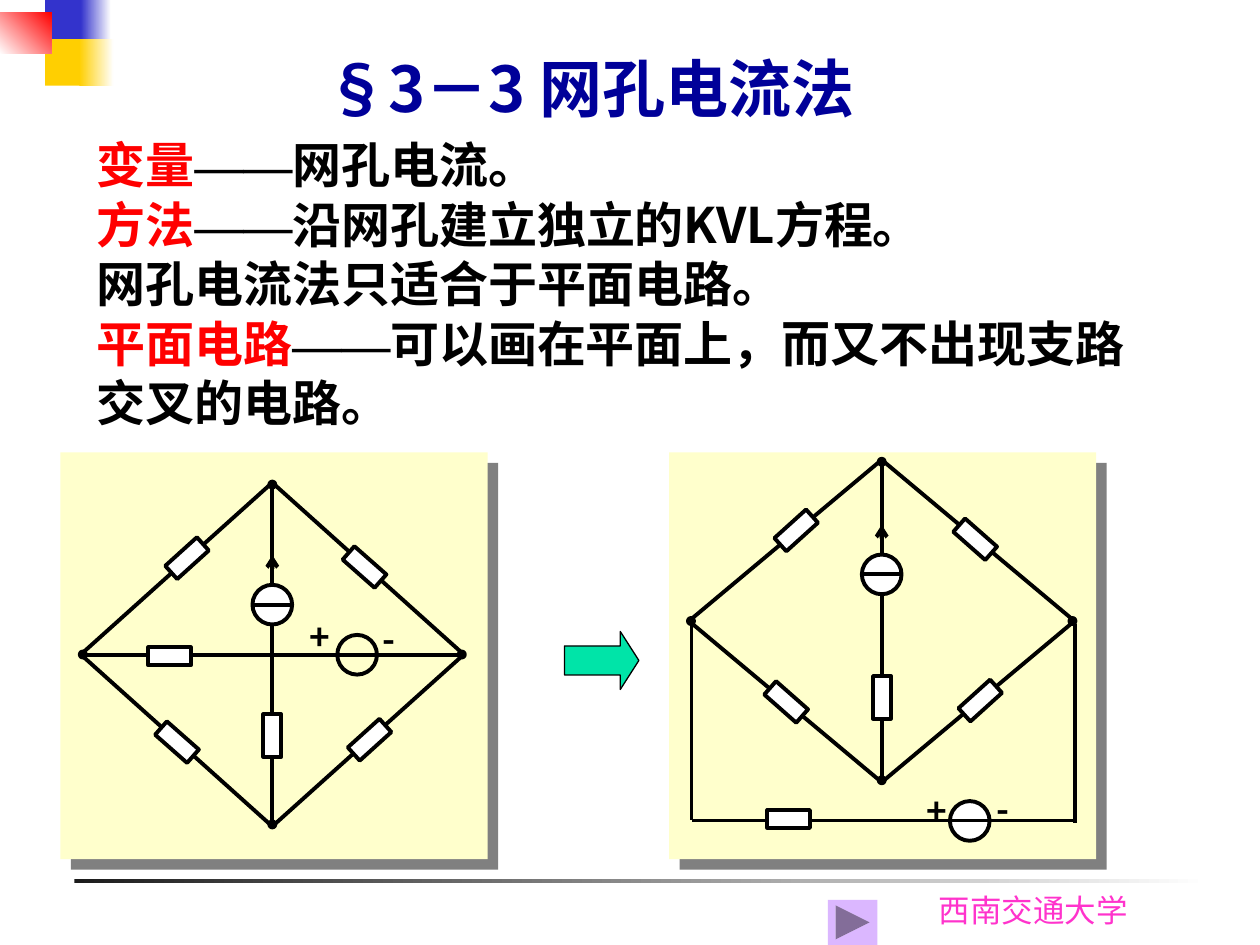
from lxml import etree
from pptx import Presentation
from pptx import util as u
from pptx.dml.color import RGBColor
from pptx.enum import shapes, text
from pptx.oxml import ns

Cm, Pt = u.Cm, u.Pt
PRESET = shapes.MSO_SHAPE
COLORS = {
    "white": "FFFFFF", "black": "000000", "blue": "3333CC", "yellow": "FFCF01",
    "red": "FF0000", "navy": "000099", "pink": "FF33CC", "charcoal": "1C1C1C",
    "cream": "FFFFCC", "gray": "808080", "green": "00E4A8", "lilac": "DBB7FF",
}
COLORS = {name: RGBColor.from_string(value) for name, value in COLORS.items()}
HEITI, TIMES = "Noto Sans CJK SC", "Times New Roman"

prs = Presentation()
prs.slide_width, prs.slide_height = Cm(25.4), Cm(19.05)
slide = prs.slides.add_slide(prs.slide_layouts[5])


def add_part(preset, box, fill=None, line=0, angle=0):
    """Add a preset shape; a pair of fill colours makes a gradient."""
    part = slide.shapes.add_shape(preset, *map(Cm, box))
    part.shadow.inherit = False
    part.rotation = angle
    if fill is None:
        part.fill.background()
    elif isinstance(fill, tuple):
        part.fill.gradient()
        part.fill.gradient_angle = 0
        for stop, color in zip(part.fill.gradient_stops, fill):
            stop.color.rgb = COLORS[color]
    else:
        part.fill.solid()
        part.fill.fore_color.rgb = COLORS[fill]
    if line:
        part.line.color.rgb = COLORS["black"]
        part.line.width = Pt(line)
    else:
        part.line.fill.background()
    return part


def write(frame, paragraphs, size, spacing=None, bold=True):
    """Fill a text frame with paragraphs of (text, colour, font) runs."""
    frame.word_wrap = True
    frame.auto_size = text.MSO_AUTO_SIZE.NONE
    for index, pieces in enumerate(paragraphs):
        paragraph = frame.add_paragraph() if index else frame.paragraphs[0]
        paragraph.alignment = text.PP_ALIGN.LEFT
        paragraph.line_spacing = spacing
        for words, color, font in pieces:
            run = paragraph.add_run()
            run.text = words
            run.font.name = font
            run.font.size, run.font.bold = Pt(size), bold
            run.font.color.rgb = COLORS[color]
            east_asian = etree.SubElement(run.font._element, ns.qn("a:ea"))
            east_asian.set("typeface", TIMES if font == TIMES else HEITI)


# Slide decoration
add_part(PRESET.RECTANGLE, (1.5, 17.73, 22.86, 0.08), ("charcoal", "white"))
for box, fill in [
    ((0.91, 0, 0.81, 0.94), "blue"),
    ((1.63, 0, 0.61, 0.94), ("blue", "white")),
    ((0.91, 0.79, 0.79, 0.94), "yellow"),
    ((1.6, 0.79, 0.69, 0.94), ("yellow", "white")),
]:
    add_part(PRESET.RECTANGLE, box, fill)
red_square = add_part(PRESET.RECTANGLE, (0, 0.25, 1.04, 0.84), ("white", "red"))
red_square.fill.gradient_angle = 45

university = slide.shapes.add_textbox(Cm(18.67), Cm(17.83), Cm(4.6), Cm(1.02))
write(university.text_frame, [[("西南交通大学", "pink", "Lato")]], 18, bold=False)

# Title and definitions
title = slide.shapes.title
title.left, title.top, title.width, title.height = map(Cm, (6.3, 0.71, 12.27, 1.47))
title.fill.solid()
title.fill.fore_color.rgb = COLORS["white"]
title.text_frame.vertical_anchor = text.MSO_ANCHOR.TOP
write(title.text_frame, [[("§3－3 网孔电流法", "navy", HEITI)]], 36, Pt(48))

definitions = [
    ("变量", "网孔电流。"),
    ("方法", "沿网孔建立独立的KVL方程。"),
    ("", "网孔电流法只适合于平面电路。"),
    ("平面电路", "可以画在平面上，而又不出现支路交叉的电路。"),
]
paragraphs = []
for term, meaning in definitions:
    lead = [(term, "red", HEITI), ("——", "black", TIMES)] if term else []
    paragraphs.append(lead + [(meaning, "black", HEITI)])
body = slide.shapes.add_textbox(Cm(1.7), Cm(2.6), Cm(21.79), Cm(6.2))
body.text_frame.vertical_anchor = text.MSO_ANCHOR.MIDDLE
write(body.text_frame, paragraphs, 28, Pt(34))

# Crossed circuit and the same circuit redrawn in the plane
RESISTOR_ANGLES = (227.9, 311.4, 311.4, 227.9, 270, 0)
circuits = [
    {
        "panel_left": 1.22, "bridge": (1.63, 9.73, 7.72, 6.93),
        "current_y": 12.19, "voltage": (7.2, 13.2), "voltage_fill": None,
        "plus": (6.25, 12.37), "minus": (7.72, 12.42),
        "outer_wires": [(1.63, 13.2, 9.37, 13.2)],
        "resistors": [(3.77, 11.25), (7.35, 11.43), (3.57, 14.96),
                      (7.45, 14.91), (3.42, 13.23), (5.49, 14.83)],
    },
    {
        "panel_left": 13.49, "bridge": (13.89, 9.27, 7.77, 6.5),
        "current_y": 11.58, "voltage": (19.55, 16.55), "voltage_fill": "white",
        "plus": (18.67, 15.88), "minus": (20.09, 15.85),
        "outer_wires": [(13.94, 16.54, 21.72, 16.54), (13.94, 12.52, 13.94, 16.54),
                        (21.67, 12.57, 21.67, 16.59)],
        "resistors": [(16.05, 10.69), (19.66, 10.87), (15.85, 14.15),
                      (19.76, 14.12), (15.9, 16.51), (17.78, 14.06)],
    },
]
for circuit in circuits:
    panel = add_part(PRESET.RECTANGLE, (circuit["panel_left"], 9.12, 8.61, 8.2), "cream")
    effects = panel._element.spPr.find(ns.qn("a:effectLst"))
    shadow = etree.SubElement(effects, ns.qn("a:outerShdw"), dist=str(Pt(8.5)),
                              dir="2700000", algn="ctr", rotWithShape="0")
    etree.SubElement(shadow, ns.qn("a:srgbClr"), val=str(COLORS["gray"]))

    left, top, width, height = circuit["bridge"]
    middle_x, middle_y = left + width / 2, top + height / 2
    right, bottom = left + width, top + height
    add_part(PRESET.DIAMOND, circuit["bridge"], line=2.25)

    x, y = circuit["voltage"]
    add_part(PRESET.OVAL, (x - 0.4, y - 0.4, 0.8, 0.8), circuit["voltage_fill"], 2.25)
    y = circuit["current_y"]
    add_part(PRESET.OVAL, (middle_x - 0.4, y - 0.4, 0.8, 0.8), "white", 2.25)

    wires = circuit["outer_wires"] + [
        (middle_x, top, middle_x, y - 0.4),
        (middle_x, y + 0.4, middle_x, bottom),
        (middle_x - 0.4, y, middle_x + 0.4, y),
        (middle_x, y - 0.4, middle_x, y - 1),
    ]
    for ends in wires:
        wire = slide.shapes.add_connector(shapes.MSO_CONNECTOR.STRAIGHT, *map(Cm, ends))
        wire.line.color.rgb = COLORS["black"]
        wire.line.width = Pt(2.25)
        etree.SubElement(wire._element.spPr, ns.qn("a:effectLst"))
    current_arrow = wire
    etree.SubElement(current_arrow.line._get_or_add_ln(), ns.qn("a:tailEnd"), type="arrow")

    for (x, y), angle in zip(circuit["resistors"], RESISTOR_ANGLES):
        add_part(PRESET.RECTANGLE, (x - 0.18, y - 0.43, 0.36, 0.86), "white", 2.25, angle)
    for x, y in [(left + 0.04, middle_y), (middle_x, top + 0.04),
                 (middle_x, bottom - 0.04), (right - 0.04, middle_y)]:
        add_part(PRESET.OVAL, (x - 0.06, y - 0.06, 0.12, 0.12), "black", 2.25)

    for sign, place in [("+", circuit["plus"]), ("-", circuit["minus"])]:
        polarity = slide.shapes.add_textbox(*map(Cm, place), Cm(0.58), Cm(0.86))
        frame = polarity.text_frame
        frame.margin_left = frame.margin_right = frame.margin_top = frame.margin_bottom = 0
        write(frame, [[(sign, "black", HEITI)]], 20, Pt(25))

redraw_arrow = add_part(PRESET.RIGHT_ARROW, (11.38, 12.73, 1.5, 1.17), "green", 0.75)
redraw_arrow.adjustments[1] = 0.32
add_part(PRESET.ACTION_BUTTON_FORWARD_OR_NEXT, (16.69, 18.14, 1, 0.91), "lilac")

prs.save("out.pptx")
